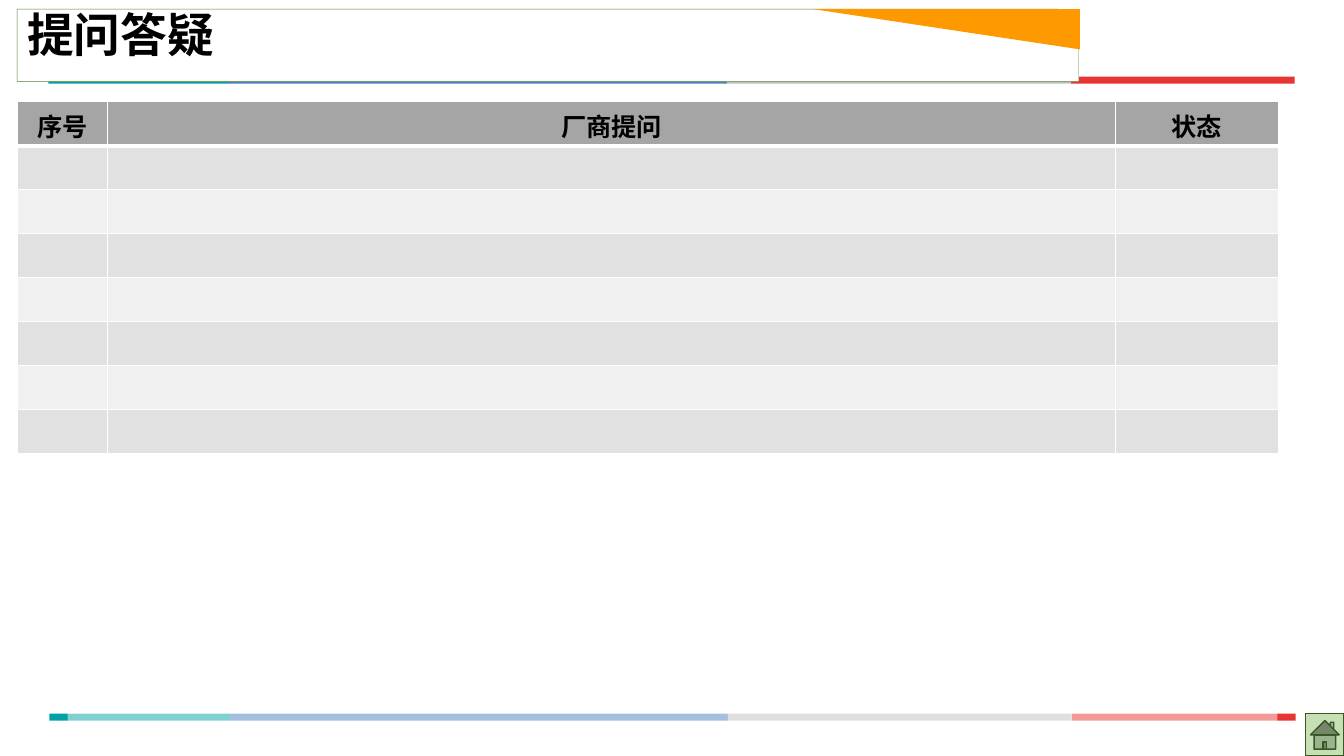
import pptx
import pptx.util
import pptx.dml.color
import pptx.enum.shapes
import pptx.enum.text
import pptx.oxml
import pptx.oxml.ns

Inches, Pt = pptx.util.Inches, pptx.util.Pt
RGBColor = pptx.dml.color.RGBColor
SHAPE = pptx.enum.shapes.MSO_SHAPE
ALIGN = pptx.enum.text.PP_ALIGN
ANCHOR = pptx.enum.text.MSO_ANCHOR

# Colours
WHITE, BLACK = RGBColor(255, 255, 255), RGBColor(0, 0, 0)
TEAL, BLUE = RGBColor(0x00, 0xA2, 0xA6), RGBColor(0x4C, 0x80, 0xC2)
GREY, RED = RGBColor(0xC0, 0xC0, 0xC1), RGBColor(0xE7, 0x35, 0x34)
ORANGE, MOSS = RGBColor(0xFF, 0x99, 0x00), RGBColor(0x54, 0x82, 0x35)
MINT, FOREST = RGBColor(0xC5, 0xE0, 0xB4), RGBColor(0x38, 0x57, 0x23)
HEADER = RGBColor(0xA5, 0xA5, 0xA5)
BANDS = [RGBColor(0xE1, 0xE1, 0xE1), RGBColor(0xF0, 0xF0, 0xF0)]

# Content
TITLE = "提问答疑"
HEADINGS = ["序号", "厂商提问", "状态"]
COLUMN_WIDTHS = [0.9, 9.99, 1.62]
EMPTY_ROWS = 7
TABLE_AT = (0.17, 1.01, 12.51, 3.49)
STRIPE = [(1.79, TEAL), (4.94, BLUE), (3.41, GREY), (2.22, RED)]
STRIPE_STARTS = [(0.48, 0.76), (0.49, 7.08)]
TITLE_FONT = {"size": Pt(33.3), "bold": True, "name": "Noto Sans CJK SC"}
HEADING_FONT = {"size": Pt(18), "bold": True, "name": "Calibri"}
EAST_ASIAN_FONT = "Noto Sans CJK SC"


def paint(shape, fill, line=None, width=1):
    shape.shadow.inherit = False
    shape.fill.solid()
    shape.fill.fore_color.rgb = fill
    if line is None:
        shape.line.fill.background()
    else:
        shape.line.color.rgb = line
        shape.line.width = Pt(width)
    return shape


def add_block(kind, at, fill, line=None, width=1):
    shape = page.shapes.add_shape(kind, *map(Inches, at))
    return paint(shape, fill, line, width)


def write(para, words, font):
    span = para.add_run()
    span.text = words
    for name, value in font.items():
        setattr(span.font, name, value)
    span.font.color.rgb = BLACK
    east = pptx.oxml.parse_xml(
        f'<a:ea {pptx.oxml.ns.nsdecls("a")} typeface="{EAST_ASIAN_FONT}"/>')
    span.font._element.find(pptx.oxml.ns.qn("a:latin")).addnext(east)


def add_borders(cell, bottom):
    # Borders come before the fill in the cell properties
    widths = {"lnL": 1, "lnR": 1, "lnT": 1, "lnB": bottom}
    for index, (side, points) in enumerate(widths.items()):
        border = pptx.oxml.parse_xml(
            f'<a:{side} {pptx.oxml.ns.nsdecls("a")} w="{Pt(points)}">'
            f'<a:solidFill><a:srgbClr val="{WHITE}"/></a:solidFill></a:{side}>')
        cell._tc.get_or_add_tcPr().insert(index, border)


deck = pptx.Presentation()
deck.slide_width, deck.slide_height = Inches(13.33), Inches(7.5)
page = deck.slides.add_slide(deck.slide_layouts[6])

# Coloured stripes at top and bottom
for left, top in STRIPE_STARTS:
    for width, colour in STRIPE:
        add_block(SHAPE.RECTANGLE, (left, top, width, 0.07), colour)
        left += width

# Half-transparent veil over the bottom stripe
veil = add_block(SHAPE.RECTANGLE, (0.67, 6.95, 12, 0.4), WHITE)
veil_colour = veil._element.spPr.find(".//" + pptx.oxml.ns.qn("a:srgbClr"))
veil_colour.append(pptx.oxml.parse_xml(
    f'<a:alpha {pptx.oxml.ns.nsdecls("a")} val="50000"/>'))

# Title panel with its orange corner
panel = add_block(SHAPE.SNIP_1_RECTANGLE, (0.17, 0.09, 10.53, 0.72), WHITE, MOSS, 0.25)
panel.adjustments[0] = 0.294
outline = page.shapes.build_freeform(Inches(10.71), Inches(0.09))
outline.add_line_segments(
    [(Inches(8.06), Inches(0.09)), (Inches(10.71), Inches(0.49))], close=True)
paint(outline.convert_to_shape(), ORANGE)

# Title
box = page.shapes.add_textbox(*map(Inches, (0.17, 0.12, 8.74, 0.68)))
box.text_frame.word_wrap = True
box.text_frame.margin_top = 0
title_para = box.text_frame.paragraphs[0]
title_para.line_spacing = 0.9
write(title_para, TITLE, TITLE_FONT)

# Question table
table = page.shapes.add_table(
    EMPTY_ROWS + 1, len(HEADINGS), *map(Inches, TABLE_AT)).table
for column, width in zip(table.columns, COLUMN_WIDTHS):
    column.width = Inches(width)
for number, row in enumerate(table.rows):
    for cell, heading in zip(row.cells, HEADINGS):
        cell.fill.solid()
        cell.fill.fore_color.rgb = BANDS[(number - 1) % 2] if number else HEADER
        add_borders(cell, 1 if number else 3)
        if number == 0:
            cell.vertical_anchor = ANCHOR.MIDDLE
            para = cell.text_frame.paragraphs[0]
            para.alignment = ALIGN.CENTER
            write(para, heading, HEADING_FONT)

# Home button
add_block(SHAPE.ACTION_BUTTON_HOME, (12.95, 7.08, 0.38, 0.42), MINT, FOREST)

deck.save("out.pptx")
